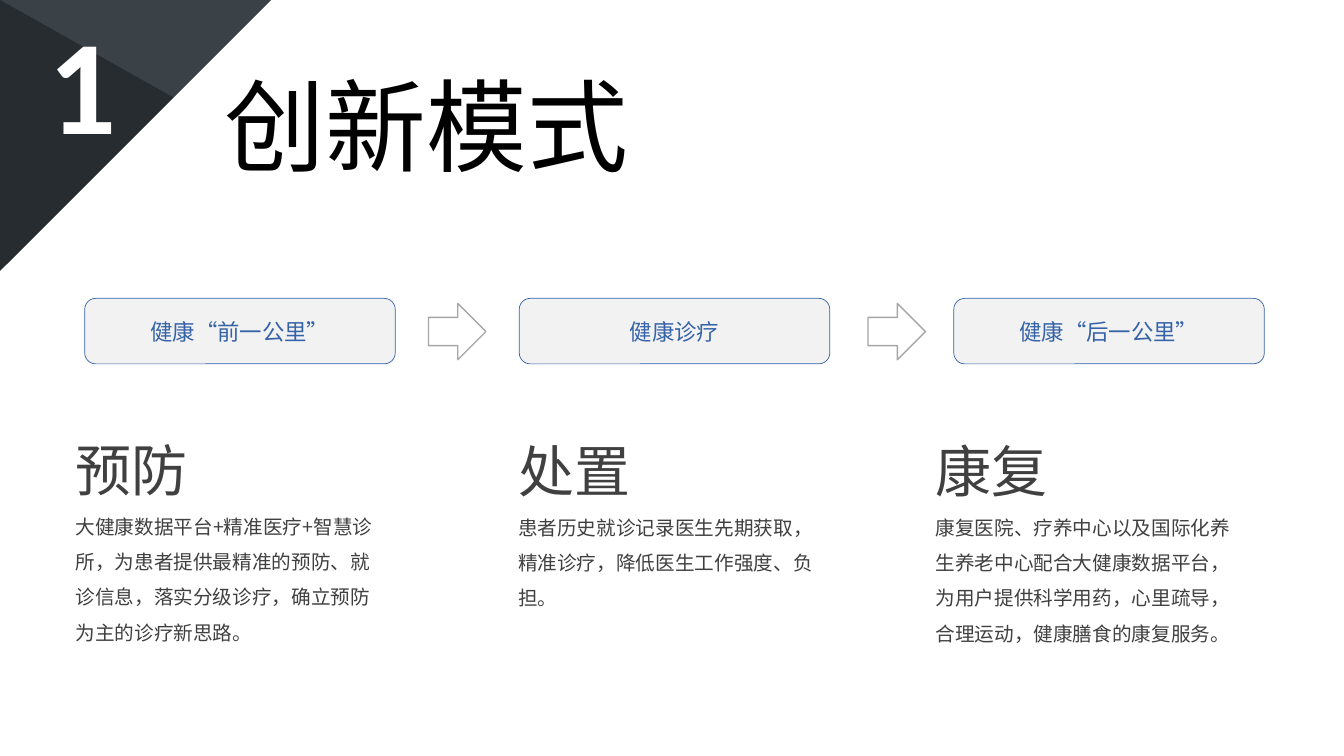
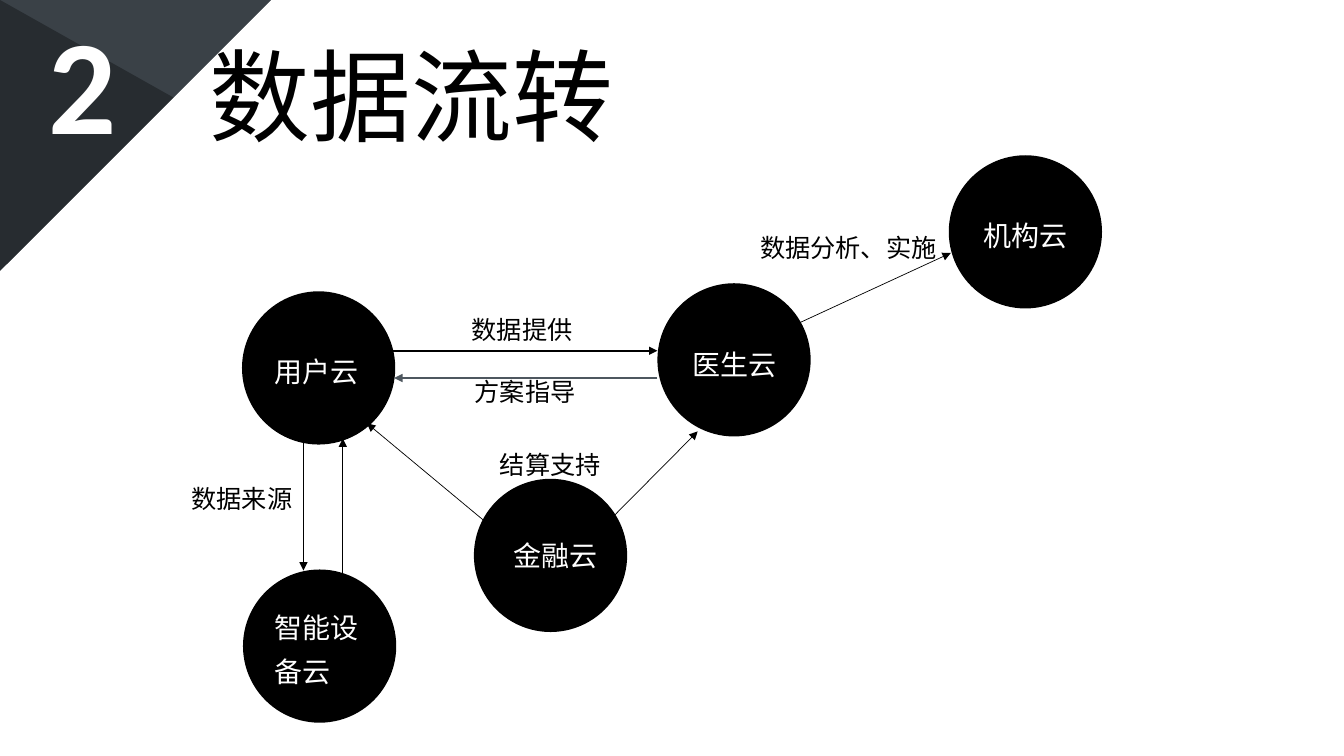
from lxml import etree
from pptx import Presentation
from pptx.dml.color import RGBColor
from pptx.enum.shapes import MSO_CONNECTOR, MSO_SHAPE
from pptx.enum.text import MSO_ANCHOR as ANCHOR, MSO_AUTO_SIZE as AUTO, PP_ALIGN as ALIGN
from pptx.oxml.ns import qn
from pptx.util import Inches, Pt

COLORS = {
    "dark": "272C30", "slate": "3A4147", "steel": "4E575F", "white": "FFFFFF",
    "black": "000000", "text": "404040", "blue": "3563A8", "card": "F2F2F2",
    "gray": "A6A6A6",
}
LATIN, CJK = "Calibri", "Noto Sans CJK SC"
WIDTH, HEIGHT = 13.33, 7.5


def rgb(name):
    return RGBColor.from_string(COLORS[name])


def box(*lengths):
    return [Inches(v) for v in lengths]


def write(tf, text, size=18, color="black", font=LATIN, bold=False,
          align=ALIGN.LEFT, spacing=None, new=False):
    """Write one paragraph; new=True adds it after the existing ones."""
    p = tf.add_paragraph() if new else tf.paragraphs[0]
    p.alignment = align
    p.space_before = Pt(0)
    if spacing:
        p.line_spacing = spacing
    r = p.add_run()
    r.text = text
    r.font.size, r.font.bold, r.font.name = Pt(size), bold, font
    r.font.color.rgb = rgb(color)
    etree.SubElement(r._r.get_or_add_rPr(), qn("a:ea")).set("typeface", CJK)


class Deck:
    """Shared style plus the slide being filled."""

    def __init__(self):
        self.prs = Presentation()
        self.prs.slide_width, self.prs.slide_height = box(WIDTH, HEIGHT)
        self.layout = self.prs.slide_layouts.get_by_name("Section Header")
        self.slide = None

    def start(self, number, title, left, top):
        self.slide = self.prs.slides.add_slide(self.layout)
        if len(self.prs.slides) == 1:
            self.corner()
        sp, body = self.slide.shapes.title, self.slide.placeholders[1]
        self.place(sp, left, top, 4.24, 1.31, wrap=False)
        write(sp.text_frame, title, size=72, font=CJK)
        self.place(body, 0.17, 0.13, 1.29, 1.62)
        write(body.text_frame, number, size=96, color="white", bold=True,
              align=ALIGN.CENTER, spacing=0.9)

    def place(self, sp, left, top, width, height, wrap=True):
        sp.left, sp.top, sp.width, sp.height = box(left, top, width, height)
        tf = sp.text_frame
        tf.word_wrap, tf.auto_size = wrap, AUTO.NONE
        tf.vertical_anchor = ANCHOR.TOP

    def corner(self):
        """Two-tone corner under a snipped sheet, moved to the layout."""
        fill = self.layout.background.fill
        fill.solid()
        fill.fore_color.rgb = rgb("slate")
        parts = [(MSO_SHAPE.ISOSCELES_TRIANGLE, 0, "dark"),
                 (MSO_SHAPE.SNIP_1_RECTANGLE, 0.359, "white")]
        for i, (kind, adjust, color) in enumerate(parts):
            sp = self.shape(kind, (0, 0, WIDTH, HEIGHT), fill=color)
            sp.adjustments[0] = adjust
            if kind == MSO_SHAPE.SNIP_1_RECTANGLE:
                sp.element.spPr.xfrm.set("flipH", "1")
            sp.element.nvSpPr.cNvPr.id = 100 + i
            self.layout.shapes.element.insert(2 + i, sp.element)

    def shape(self, kind, at, text=None, fill=None, line=None, width=1, **fmt):
        sp = self.slide.shapes.add_shape(kind, *box(*at))
        sp.shadow.inherit = False
        if fill:
            sp.fill.solid()
            sp.fill.fore_color.rgb = rgb(fill)
        else:
            sp.fill.background()
        if line:
            sp.line.color.rgb = rgb(line)
            sp.line.width = Pt(width)
        else:
            sp.line.fill.background()
        if text:
            tf = sp.text_frame
            tf.word_wrap, tf.vertical_anchor = True, ANCHOR.MIDDLE
            write(tf, text, **fmt)
        return sp

    def text(self, at, text, wrap=True, inset=0.05, **fmt):
        tf = self.slide.shapes.add_textbox(*box(*at)).text_frame
        tf.word_wrap, tf.auto_size = wrap, AUTO.SHAPE_TO_FIT_TEXT
        tf.margin_top = Inches(inset)
        write(tf, text, **fmt)
        return tf

    def arrow(self, start, end, color="black", width=0.5):
        cx = self.slide.shapes.add_connector(
            MSO_CONNECTOR.STRAIGHT, *box(*start, *end))
        cx.line.color.rgb = rgb(color)
        cx.line.width = Pt(width)
        etree.SubElement(cx.line._get_or_add_ln(), qn("a:tailEnd")).set("type", "triangle")
        etree.SubElement(cx.element.spPr, qn("a:effectLst"))


def innovation(deck):
    deck.start("1", "创新模式", 2.13, 0.58)

    # Three stages, each explained below
    stages = [
        ("健康“前一公里”", 0.65, 3.95, "预防",
         "大健康数据平台+精准医疗+智慧诊所，为患者提供最精准的预防、就诊信息，落实分级诊疗，确立预防为主的诊疗新思路。"),
        ("健康诊疗", 5.04, 3.96, "处置",
         "患者历史就诊记录医生先期获取，精准诊疗，降低医生工作强度、负担。"),
        ("健康“后一公里”", 9.18, 3.96, "康复",
         "康复医院、疗养中心以及国际化养生养老中心配合大健康数据平台，为用户提供科学用药，心里疏导，合理运动，健康膳食的康复服务。"),
    ]
    for i, (stage, left, top, heading, detail) in enumerate(stages):
        deck.shape(MSO_SHAPE.ROUNDED_RECTANGLE, (0.84 + 4.31 * i, 2.96, 3.08, 0.65),
                   stage, fill="card", line="blue", width=0.5,
                   size=16, color="blue", align=ALIGN.CENTER)
        fmt = dict(color="text", font=CJK, spacing=1.5)
        tf = deck.text((left, top, 3.31, 2.51), heading, size=40, inset=0.04, **fmt)
        write(tf, detail, size=14, new=True, **fmt)

    # Arrows between stages
    for left in (4.25, 8.61):
        deck.shape(MSO_SHAPE.RIGHT_ARROW, (left, 3.01, 0.57, 0.56), line="gray")


def data_flow(deck):
    deck.start("2", "数据流转", 1.98, 0.28)

    # Clouds
    for left, top in [(2.4, 2.89), (6.52, 2.81), (2.41, 5.65), (9.41, 1.54), (4.7, 4.75)]:
        deck.shape(MSO_SHAPE.OVAL, (left, top, 1.52, 1.52), fill="black")

    # Flows
    deck.arrow((3.89, 3.48), (6.52, 3.48), width=1.5)
    deck.arrow((6.52, 3.75), (3.91, 3.75), color="steel", width=1.5)
    for start, end in [((7.87, 3.23), (9.43, 2.51)), ((3.4, 5.75), (3.4, 4.35)),
                       ((3.01, 4.35), (3.01, 5.66)), ((4.83, 5.19), (3.64, 4.2)),
                       ((5.7, 5.51), (6.92, 4.28))]:
        deck.arrow(start, end)

    # Cloud names
    for name, left, top, width, height in [
            ("用户云", 2.62, 3.37, 1.17, 0.54), ("医生云", 6.77, 3.3, 1.05, 0.5),
            ("智能设备云", 2.62, 5.91, 1.17, 0.98), ("机构云", 9.66, 2.02, 1.05, 0.54),
            ("金融云", 4.99, 5.19, 1.3, 0.5)]:
        deck.text((left, top, width, height), name,
                  size=20, color="white", font=CJK, spacing=1.3)

    # Flow labels
    for label, left, top, width in [
            ("数据提供", 4.58, 3.07, 1.21), ("数据来源", 1.8, 4.75, 1.21),
            ("结算支持", 4.86, 4.41, 1.21), ("数据分析、实施", 7.44, 2.26, 1.97),
            ("方案指导", 4.61, 3.68, 1.21)]:
        deck.text((left, top, width, 0.4), label, wrap=False)


def main():
    deck = Deck()
    innovation(deck)
    data_flow(deck)
    deck.prs.save("out.pptx")


if __name__ == "__main__":
    main()
